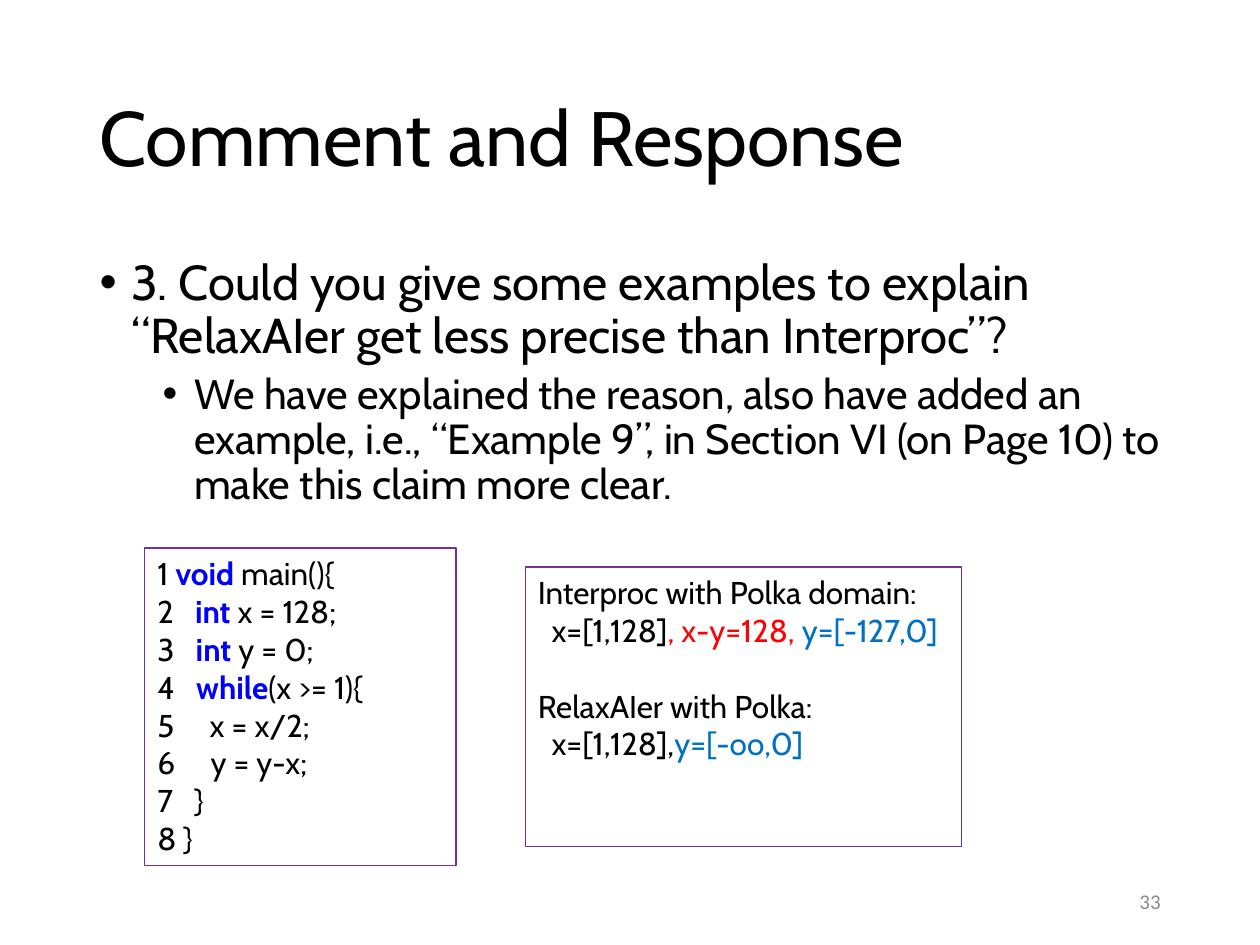
from lxml.etree import SubElement
from pptx import Presentation
from pptx.dml.color import RGBColor
from pptx.enum.shapes import MSO_SHAPE
from pptx.enum.text import MSO_ANCHOR, MSO_AUTO_SIZE, PP_ALIGN
from pptx.oxml.ns import qn
from pptx.util import Inches, Pt

BLACK = RGBColor(0x00, 0x00, 0x00)
GRAY = RGBColor(0x8C, 0x8C, 0x8C)
PURPLE = RGBColor(0x70, 0x30, 0xA0)
KEYWORD = RGBColor(0x00, 0x00, 0xFF)
RED = RGBColor(0xFF, 0x00, 0x00)
BLUE = RGBColor(0x00, 0x70, 0xC0)
FONT = "Cabin"

BULLETS = [  # level, size, left margin, space before, text
    (0, 28, 0.25, 0, "3. Could you give some examples to explain "
     "“RelaxAIer get less precise than Interproc”?"),
    (1, 24, 0.75, 5, "We have explained the reason, also have added an "
     "example, i.e., “Example 9”, in Section VI (on Page 10) to "
     "make this claim more clear."),
]

CODE = [  # text before keyword, keyword, text after
    ("1 ", "void ", "main(){"),
    ("2   ", "int ", "x = 128;"),
    ("3   ", "int ", "y = 0;"),
    ("4   ", "while", "(x >= 1){"),
    ("5     x = x/2;", "", ""),
    ("6     y = y-x;", "", ""),
    ("7   }", "", ""),
    ("8 }", "", ""),
]

RESULTS = [  # left margin, space before, coloured runs
    (0, 0, [("Interproc with Polka domain:", BLACK)]),
    (0.11, 0, [("x=[1,128]", BLACK), (", x-y=128, ", RED),
               ("y=[-127,0]", BLUE)]),
    (0, 21.6, [("RelaxAIer with Polka:", BLACK)]),
    (0.11, 0, [("x=[1,128],", BLACK), ("y=[-oo,0]", BLUE)]),
]


def place(shape, left, top, width, height):
    shape.left, shape.top = Inches(left), Inches(top)
    shape.width, shape.height = Inches(width), Inches(height)


def next_paragraph(tf, first):
    return tf.paragraphs[0] if first else tf.add_paragraph()


def add_run(p, text, size, color=BLACK, bold=False, font=FONT):
    r = p.add_run()
    r.text = text
    r.font.name = font
    r.font.size = Pt(size)
    r.font.bold = bold
    r.font.color.rgb = color


def set_indent(p, margin, indent=0):
    pPr = p._p.get_or_add_pPr()
    pPr.set("marL", str(Inches(margin)))
    pPr.set("indent", str(Inches(indent)))
    return pPr


def fill_title(title, text):
    place(title, 0.69, 0.4, 8.62, 1.45)
    tf = title.text_frame
    tf.auto_size = MSO_AUTO_SIZE.NONE
    tf.vertical_anchor = MSO_ANCHOR.MIDDLE
    p = tf.paragraphs[0]
    p.alignment = PP_ALIGN.LEFT
    p.line_spacing = 0.9
    add_run(p, text, 44)


def fill_body(body):
    place(body, 0.69, 2, 8.62, 4.76)
    tf = body.text_frame
    tf.auto_size = MSO_AUTO_SIZE.NONE
    for i, (level, size, margin, before, text) in enumerate(BULLETS):
        p = next_paragraph(tf, i == 0)
        p.level = level
        p.line_spacing = 0.9
        p.space_before = Pt(before)
        pPr = set_indent(p, margin, -0.25)
        SubElement(pPr, qn("a:buFont")).set("typeface", "Arial")
        SubElement(pPr, qn("a:buChar")).set("char", "•")
        add_run(p, text, size)


def add_frame(slide, left, top, width, height):
    """Add an outlined box and return its text frame."""
    sp = slide.shapes.add_shape(MSO_SHAPE.RECTANGLE, Inches(left), Inches(top),
                                Inches(width), Inches(height))
    sp.shadow.inherit = False
    sp.fill.background()
    sp.line.color.rgb = PURPLE
    sp.line.width = Pt(0.75)
    tf = sp.text_frame
    tf.word_wrap = True
    tf.vertical_anchor = MSO_ANCHOR.TOP
    return tf


def add_code(slide):
    tf = add_frame(slide, 1.15, 4.35, 2.47, 2.52)
    for i, (before, keyword, after) in enumerate(CODE):
        p = next_paragraph(tf, i == 0)
        p.alignment = PP_ALIGN.LEFT
        add_run(p, before, 18)
        if keyword:
            add_run(p, keyword, 18, KEYWORD, bold=True)
            add_run(p, after, 18)


def add_results(slide):
    tf = add_frame(slide, 4.17, 4.5, 3.46, 2.22)
    for i, (margin, before, runs) in enumerate(RESULTS):
        p = next_paragraph(tf, i == 0)
        p.alignment = PP_ALIGN.LEFT
        p.space_before = Pt(before)
        set_indent(p, margin)
        for text, color in runs:
            add_run(p, text, 18, color)


def add_page_number(slide, number):
    box = slide.shapes.add_textbox(Inches(7.06), Inches(6.95),
                                   Inches(2.25), Inches(0.4))
    tf = box.text_frame
    tf.word_wrap = True
    tf.vertical_anchor = MSO_ANCHOR.MIDDLE
    p = tf.paragraphs[0]
    p.alignment = PP_ALIGN.RIGHT
    add_run(p, number, 12, GRAY, font="Calibri")


def main():
    prs = Presentation()
    prs.slide_width, prs.slide_height = Inches(10), Inches(7.5)
    slide = prs.slides.add_slide(prs.slide_layouts[1])

    # Heading and bullets
    fill_title(slide.shapes.title, "Comment and Response")
    fill_body(slide.placeholders[1])

    # Page number
    add_page_number(slide, "33")

    # Example program and its analysis results
    add_code(slide)
    add_results(slide)

    prs.save("out.pptx")


if __name__ == "__main__":
    main()
